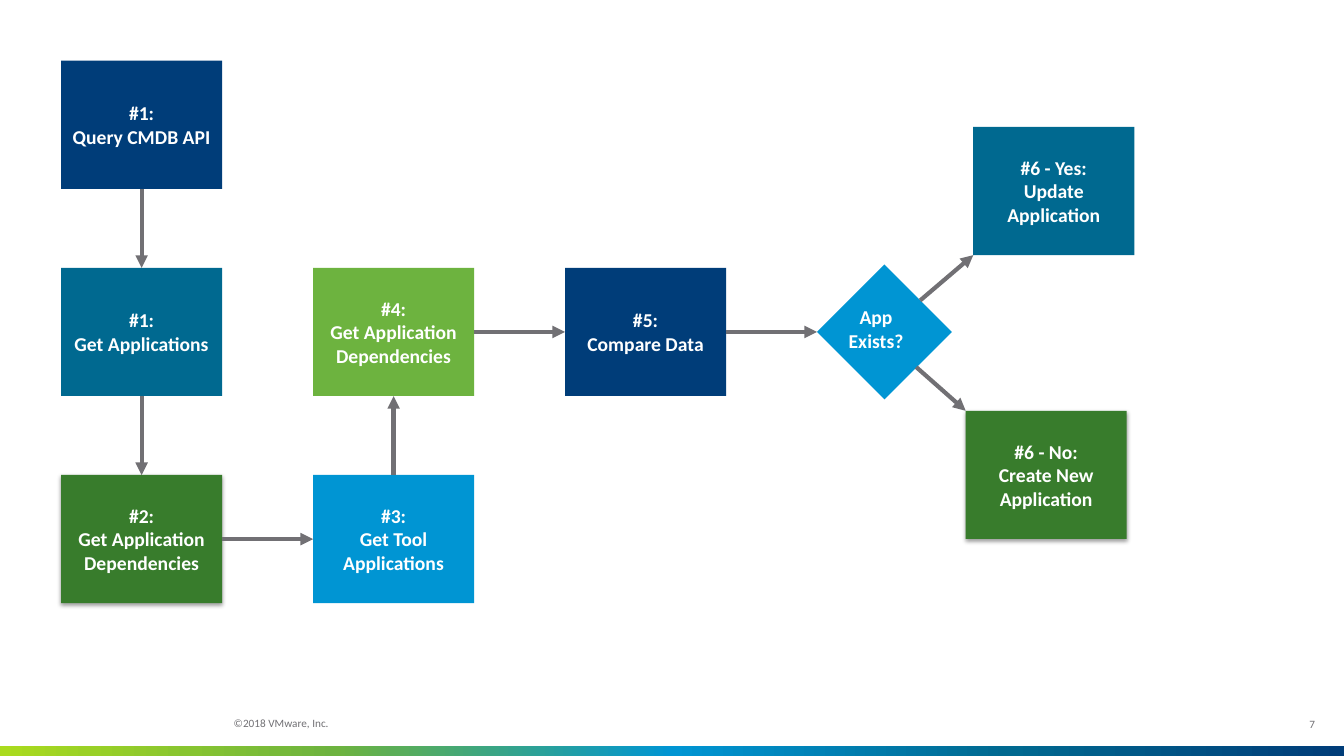
"""Build the flow chart slide for syncing CMDB applications."""
from lxml import etree
from pptx import Presentation
from pptx import util as u
from pptx.dml.color import RGBColor
from pptx.enum import shapes, text
from pptx.oxml import parse_xml
from pptx.oxml.ns import qn

NAVY = RGBColor(0x00, 0x3D, 0x79)
TEAL = RGBColor(0x00, 0x69, 0x90)
SKY = RGBColor(0x00, 0x95, 0xD3)
LEAF = RGBColor(0x6D, 0xB3, 0x3F)
PINE = RGBColor(0x38, 0x7C, 0x2C)
LIME = RGBColor(0xAA, 0xDB, 0x1E)
GREY = RGBColor(0x71, 0x70, 0x74)
WHITE = RGBColor(0xFF, 0xFF, 0xFF)
FONT = "Calibri"

# name: (lines, column, row, colour)
STEPS = {
    "query": (["#1:", "Query CMDB API"], 0, 0, NAVY),
    "apps": (["#1:", "Get Applications"], 0, 1, TEAL),
    "deps": (["#2:", "Get Application Dependencies"], 0, 2, PINE),
    "tool": (["#3:", "Get Tool Applications"], 1, 2, SKY),
    "links": (["#4:", "Get Application Dependencies"], 1, 1, LEAF),
    "match": (["#5:", "Compare Data"], 2, 1, NAVY),
    "no": (["#6 - No:", "Create New Application"], 3.59, 1.69, PINE),
    "yes": (["#6 - Yes:", "Update Application"], 3.62, 0.32, TEAL),
}
CHOICE = ["App", "Exists?"]
RAISED = ("deps", "no")
TOP, LEFT, BASE, RIGHT = range(4)
FLOWS = [
    ("query", BASE, "apps", TOP),
    ("apps", BASE, "deps", TOP),
    ("deps", RIGHT, "tool", LEFT),
    ("tool", TOP, "links", BASE),
    ("links", RIGHT, "match", LEFT),
    ("match", RIGHT, "choice", LEFT),
]
FORKS = [("yes", 23.19, 7.57, 1), ("no", 23.09, 9.25, 0)]
NOTES = [
    ("©2018 VMware, Inc.", (5.89, 18.08, 5.46, 0.41), text.PP_ALIGN.LEFT, text.MSO_ANCHOR.TOP),
    ("7", (31.93, 17.75, 1.21, 1.02), text.PP_ALIGN.RIGHT, text.MSO_ANCHOR.MIDDLE),
]
BAND = [LIME, LEAF, SKY, TEAL, NAVY]

X, Y, WIDE, HIGH = 1.54, 1.53, 4.06, 3.23
STEP_X, STEP_Y = 6.35, 5.22
SIDE = 3.4
NS = 'xmlns:a="http://schemas.openxmlformats.org/drawingml/2006/main"'
SHADE = (f'<a:effectLst {NS}><a:outerShdw blurRad="40000" dist="20000" dir="5400000" '
         'rotWithShape="0"><a:srgbClr val="000000"><a:alpha val="38000"/></a:srgbClr>'
         '</a:outerShdw></a:effectLst>')


def write(frame, lines, size, color, align, bold=False):
    frame.text = "\n".join(lines)
    for para in frame.paragraphs:
        para.alignment = align
        font = para.font
        font.name, font.size, font.bold = FONT, u.Pt(size), bold
        font.color.rgb = color


def block(slide, kind, place, color, lines):
    shape = slide.shapes.add_shape(kind, *map(u.Cm, place))
    shape.shadow.inherit = False
    shape.fill.solid()
    shape.fill.fore_color.rgb = color
    shape.line.fill.background()
    shape.text_frame.vertical_anchor = text.MSO_ANCHOR.MIDDLE
    write(shape.text_frame, lines, 14, WHITE, text.PP_ALIGN.CENTER, True)
    return shape


def arrow(slide, x, y, end_x, end_y):
    line = slide.shapes.add_connector(shapes.MSO_CONNECTOR.STRAIGHT, x, y, end_x, end_y)
    line.line.color.rgb = GREY
    line.line.width = u.Pt(3)
    tail = etree.SubElement(line.line._get_or_add_ln(), qn("a:tailEnd"))
    tail.set("type", "triangle")
    etree.SubElement(line._element.spPr, qn("a:effectLst"))
    return line


def band(slide, deck):
    high = u.Cm(0.26)
    shape = slide.shapes.add_shape(shapes.MSO_SHAPE.RECTANGLE, 0, deck.slide_height - high,
                                   deck.slide_width, high)
    shape.shadow.inherit = False
    shape.line.fill.background()
    shape.fill.gradient()
    shape.fill.gradient_angle = 0
    stops = shape._element.spPr.find(qn("a:gradFill")).find(qn("a:gsLst"))
    for old in list(stops):
        stops.remove(old)
    for i, color in enumerate(BAND):
        stop = etree.SubElement(stops, qn("a:gs"))
        stop.set("pos", str(i * 100000 // (len(BAND) - 1)))
        etree.SubElement(stop, qn("a:srgbClr")).set("val", str(color))


def main():
    deck = Presentation()
    deck.slide_width, deck.slide_height = u.Cm(33.87), u.Cm(19.05)
    slide = deck.slides.add_slide(deck.slide_layouts[6])
    band(slide, deck)

    for note, place, align, anchor in NOTES:
        frame = slide.shapes.add_textbox(*map(u.Cm, place)).text_frame
        frame.word_wrap = True
        frame.margin_left = frame.margin_right = frame.margin_top = frame.margin_bottom = 0
        frame.vertical_anchor = anchor
        write(frame, [note], 8, GREY, align)
        frame.paragraphs[0].line_spacing = 0.9

    nodes = {}
    for name, (lines, col, row, color) in STEPS.items():
        place = (X + col * STEP_X, Y + row * STEP_Y, WIDE, HIGH)
        nodes[name] = block(slide, shapes.MSO_SHAPE.RECTANGLE, place, color, lines)
    for name in RAISED:
        props = nodes[name]._element.spPr
        props.replace(props.find(qn("a:effectLst")), parse_xml(SHADE))

    mid = Y + STEP_Y + HIGH / 2
    place = (X + 3 * STEP_X, mid - SIDE / 2, SIDE, SIDE)
    nodes["choice"] = block(slide, shapes.MSO_SHAPE.DIAMOND, place, SKY, CHOICE)
    frame = nodes["choice"].text_frame
    frame.word_wrap = False
    frame.margin_left = frame.margin_top = 0
    frame.margin_right, frame.margin_bottom = u.Cm(0.42), u.Cm(0.16)

    for start, out, end, into in FLOWS:
        line = arrow(slide, 0, 0, 0, 0)
        line.begin_connect(nodes[start], out)
        line.end_connect(nodes[end], into)
    for name, x, y, low in FORKS:
        node = nodes[name]
        arrow(slide, u.Cm(x), u.Cm(y), node.left, node.top + low * node.height)

    deck.save("out.pptx")


if __name__ == "__main__":
    main()
